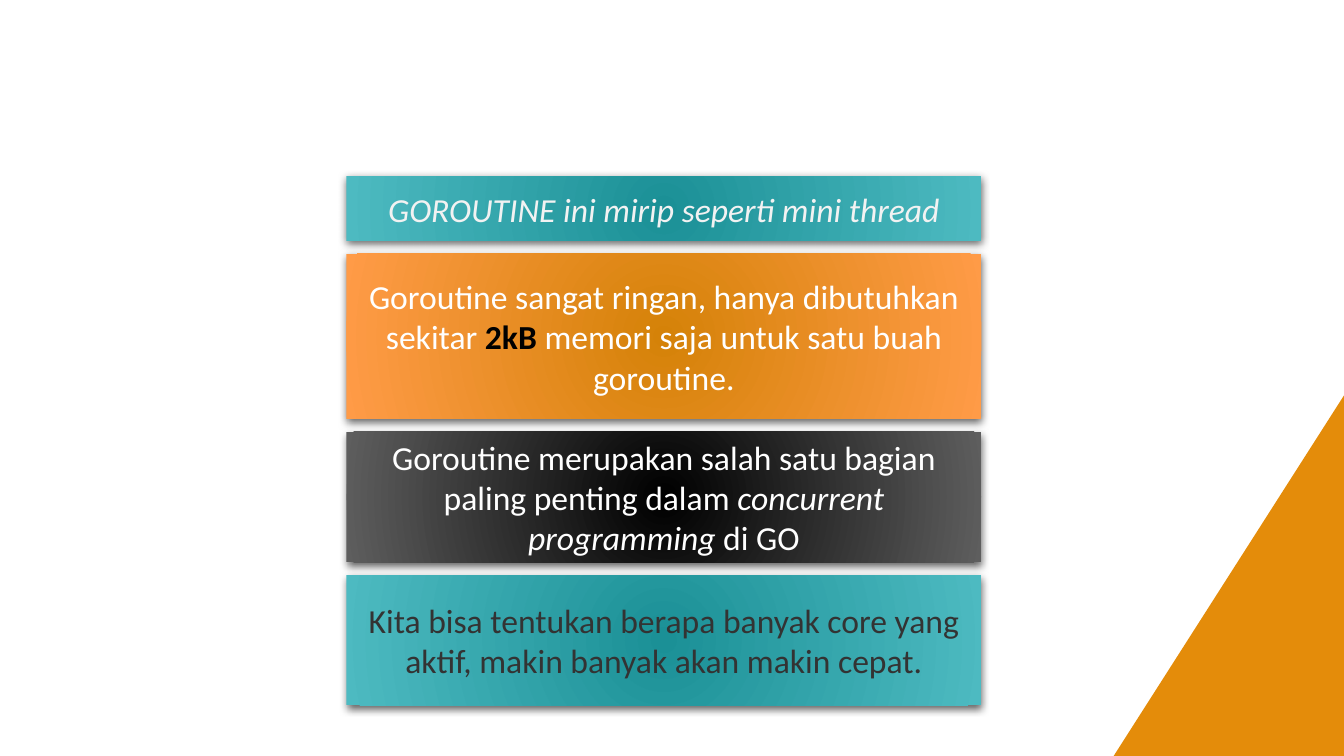
from lxml import etree
from pptx import Presentation
from pptx import util as u
from pptx.dml.color import RGBColor
from pptx.enum import shapes, text
from pptx.oxml.ns import qn

HUES = {
    "teal": "1B9096", "aqua": "4DBAC1",
    "amber": "D58208", "peach": "FF9B47",
    "black": "000000", "gray": "5E5E5E",
    "white": "FFFFFF", "pale": "F2F2F2", "dark": "333333",
    "wedge": "E48C0A",
}
CARDS = [
    (46, "teal", "aqua", [("GOROUTINE ini mirip seperti mini thread",
                           {"hue": "pale", "italic": True})]),
    (118, "amber", "peach", [
        ("Goroutine sangat ringan, hanya dibutuhkan sekitar ", {}),
        ("2kB ", {"hue": "black", "bold": True}),
        ("memori saja untuk satu buah goroutine.", {})]),
    (93, "black", "gray", [
        ("Goroutine merupakan salah satu bagian paling penting dalam ", {}),
        ("concurrent programming", {"italic": True}),
        (" di GO", {})]),
    (93, "teal", "aqua", [
        ("Kita bisa tentukan berapa banyak core yang aktif, "
         "makin banyak akan makin cepat.", {"hue": "dark"})]),
]


def color(name):
    """Return the named colour."""
    return RGBColor.from_string(HUES[name])


def write(para, words, hue="white", size=24, bold=False, italic=False):
    """Add one formatted run to a paragraph."""
    run = para.add_run()
    run.text = words
    font = run.font
    font.name, font.size = "Calibri", u.Pt(size)
    font.bold, font.italic = bold, italic
    font.color.rgb = color(hue)


def glow(shape, inner, outer):
    """Fill a shape with a gradient that spreads from its centre."""
    shape.fill.gradient()
    for stop, name in zip(shape.fill.gradient_stops, (inner, outer)):
        stop.color.rgb = color(name)
    grad = shape.element.spPr.find(qn("a:gradFill"))
    grad.remove(grad.find(qn("a:lin")))
    round_ = etree.SubElement(grad, qn("a:path"), path="circle")
    etree.SubElement(round_, qn("a:fillToRect"),
                     {side: "100000" for side in "ltrb"})


def shade(shape):
    """Give a shape a soft shadow below it."""
    shape.shadow.inherit = False
    effect = shape.element.spPr.find(qn("a:effectLst"))
    cast = etree.SubElement(effect, qn("a:outerShdw"),
                            blurRad=str(u.Pt(6)), dist=str(u.Pt(2)),
                            dir="5400000", algn="ctr", rotWithShape="0")
    tone = etree.SubElement(cast, qn("a:srgbClr"), val=HUES["black"])
    etree.SubElement(tone, qn("a:alpha"), val="60000")


def card(slide, left, top, width, height, inner, outer, runs):
    """Draw one card with centred text in the given box."""
    box = slide.shapes.add_shape(
        shapes.MSO_SHAPE.RECTANGLE,
        u.Pt(left), u.Pt(top), u.Pt(width), u.Pt(height))
    glow(box, inner, outer)
    box.line.fill.background()
    shade(box)
    frame = box.text_frame
    frame.word_wrap = True
    frame.vertical_anchor = text.MSO_ANCHOR.MIDDLE
    para = frame.paragraphs[0]
    para.alignment = text.PP_ALIGN.CENTER
    for words, form in runs:
        write(para, words, **form)


def stack(slide, left, top, width, gap):
    """Place the cards one below the other."""
    for height, inner, outer, runs in CARDS:
        card(slide, left, top, width, height, inner, outer, runs)
        top += height + gap


def wedge(slide, left, top, width, height):
    """Draw the corner triangle in the given box."""
    right, base = left + width, top + height
    form = slide.shapes.build_freeform(u.Pt(left), u.Pt(base))
    form.add_line_segments([(u.Pt(right), u.Pt(top)),
                            (u.Pt(right), u.Pt(base))], close=True)
    shape = form.convert_to_shape()
    shape.fill.solid()
    shape.fill.fore_color.rgb = color("wedge")
    shape.line.fill.background()
    shape.shadow.inherit = False


def main():
    """Build and save the slide."""
    deck = Presentation()
    deck.slide_width, deck.slide_height = u.Pt(960), u.Pt(540)
    slide = deck.slides.add_slide(deck.slide_layouts[6])
    wedge(slide, 795.5, 282.5, 164.5, 257.5)
    stack(slide, 247.5, 126, 453.5, 9.25)
    deck.save("out.pptx")


if __name__ == "__main__":
    main()
